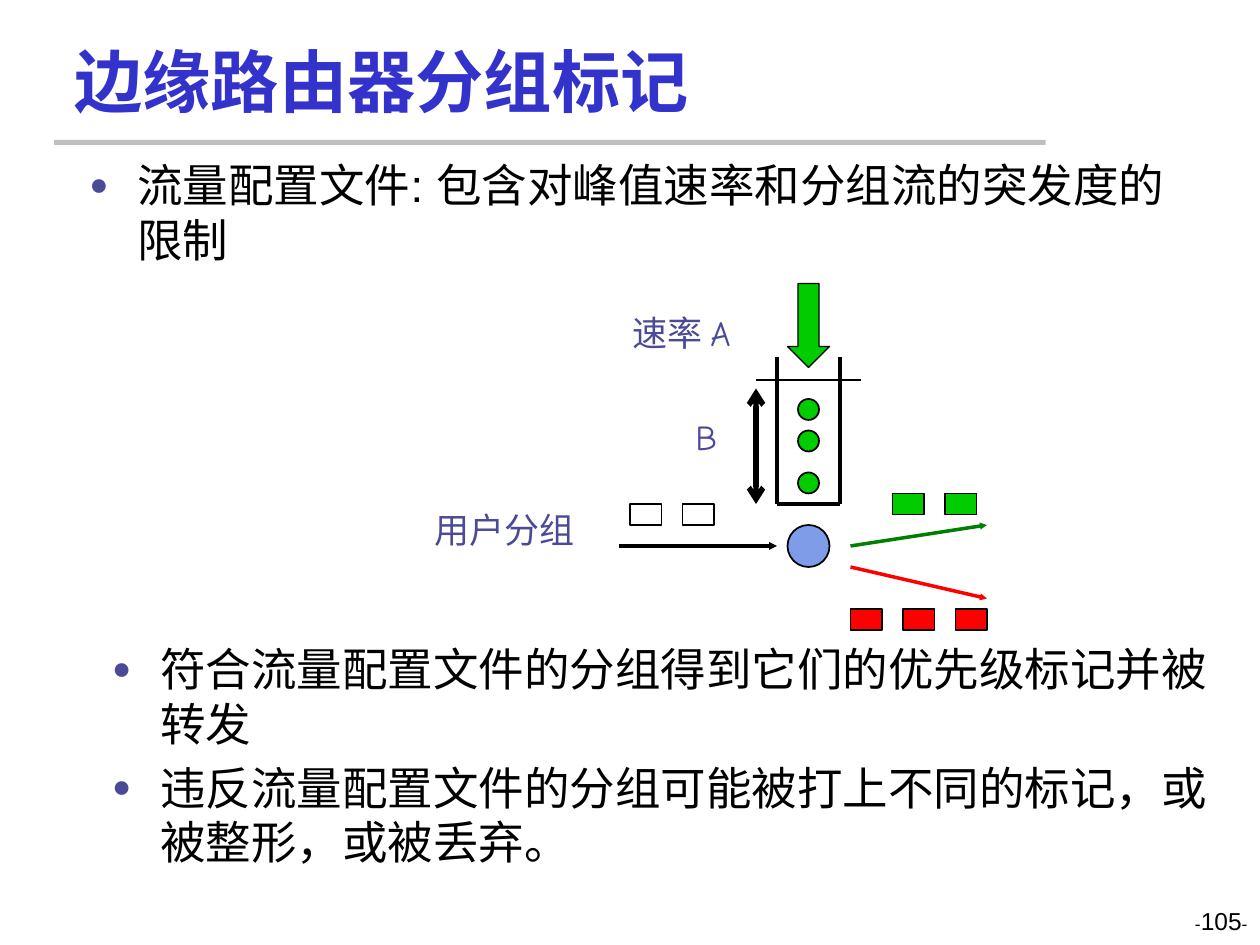
from pptx import Presentation
from pptx.dml.color import RGBColor
from pptx.enum.shapes import MSO_CONNECTOR, MSO_SHAPE
from pptx.enum.text import MSO_ANCHOR, MSO_AUTO_SIZE, PP_ALIGN
from pptx.oxml.ns import qn
from pptx.util import Inches, Pt
from lxml import etree

RECT, OVAL, DOWN = MSO_SHAPE.RECTANGLE, MSO_SHAPE.OVAL, MSO_SHAPE.DOWN_ARROW
LINE = MSO_CONNECTOR.STRAIGHT
MID, TOP = MSO_ANCHOR.MIDDLE, MSO_ANCHOR.TOP
FIXED = MSO_AUTO_SIZE.NONE
LEFT, RIGHT = PP_ALIGN.LEFT, PP_ALIGN.RIGHT
BLACK, WHITE, GREEN, RED = "000000", "FFFFFF", "00CC00", "FF0000"
SLATE = "4A4A97"
CELL = Inches(1) / 12  # the drawing sits on a grid of 12 cells to the inch

hue = RGBColor.from_string


def place(box, x, y, w, h):
    box.left, box.top, box.width, box.height = map(Inches, (x, y, w, h))
    box.text_frame.auto_size = FIXED
    return box.text_frame


def style(para, size, color, face="Arial", bold=False):
    font = para.font
    font.size, font.name, font.bold = Pt(size), face, bold
    font.color.rgb = hue(color)


deck = Presentation()
deck.slide_width, deck.slide_height = Inches(10), Inches(7.5)
slide = deck.slides.add_slide(deck.slide_layouts[3])
shapes = slide.shapes
title, intro, rules = slide.placeholders

# Title, rule and page number
frame = place(title, 0.49, 0.26, 8.5, 0.75)
frame.text = "边缘路由器分组标记"
frame.vertical_anchor = MID
frame.paragraphs[0].alignment = LEFT
style(frame.paragraphs[0], 39, "3333CC", bold=True)

bar = shapes.add_shape(RECT, Inches(0.43), Inches(1.11), Inches(7.87), Inches(0.04))
bar.shadow.inherit = False
bar.fill.solid()
bar.fill.fore_color.rgb = hue("BFBFBF")
bar.line.fill.background()

frame = place(shapes.add_textbox(0, 0, 0, 0), 7.67, 7.14, 2.33, 0.36)
frame.word_wrap = True
para = frame.paragraphs[0]
para.alignment = RIGHT
style(para, 10, BLACK)
for text, size in (("-", 10), ("105", 14), ("-", 10)):
    run = para.add_run()
    run.text, run.font.size = text, Pt(size)

# Bullet lists
lists = (
    (intro, (0.61, 1.2, 8.75, 1), ["流量配置文件: 包含对峰值速率和分组流的突发度的限制"]),
    (rules, (0.79, 5.04, 9, 2), [
        "符合流量配置文件的分组得到它们的优先级标记并被转发",
        "违反流量配置文件的分组可能被打上不同的标记，或被整形，或被丢弃。"]),
)
for box, spot, items in lists:
    frame = place(box, *spot)
    frame.vertical_anchor = TOP
    frame.text = "\n".join(items)
    for i, para in enumerate(frame.paragraphs):
        props = para._p.get_or_add_pPr()
        props.set("marL", str(Inches(0.38)))
        props.set("indent", str(-Inches(0.38)))
        tint = etree.SubElement(props, qn("a:buClr"))
        etree.SubElement(tint, qn("a:srgbClr"), val=SLATE)
        etree.SubElement(props, qn("a:buSzPct"), val="70000")
        etree.SubElement(props, qn("a:buChar"), char="●")
        para.space_before = Pt(5.2 if i else 0)
        style(para, 26, BLACK)

# Labels of the drawing
labels = (
    ("用户分组", 3.35, 3.99, 2.33),
    ("速率 A", 4.92, 2.42, 1.25),
    ("B", 5.42, 3.25, 0.38),
)
for text, x, y, w in labels:
    frame = place(shapes.add_textbox(0, 0, 0, 0), x, y, w, 0.45)
    frame.word_wrap = True
    frame.text = text
    style(frame.paragraphs[0], 20, SLATE, "Comic Neue")

# Packets, tokens, meter and inflow: kind, column, row, width, height in cells
parts = [(RECT, x, 47, 3, 2, GREEN, 1) for x in (85, 90)]
parts += [(RECT, x, 58, 3, 2, RED, 1) for x in (81, 86, 91)]
parts += [(RECT, x, 48, 3, 2, WHITE, 1) for x in (60, 65)]
parts += [(OVAL, 76, y, 2, 2, GREEN, 1) for y in (38, 41, 45)]
parts += [(OVAL, 75, 50, 4, 4, "7E9CE8", 1), (DOWN, 75, 27, 4, 8, GREEN, 0.75)]
for kind, x, y, w, h, color, width in parts:
    part = shapes.add_shape(kind, *(int(n * CELL) for n in (x, y, w, h)))
    part.shadow.inherit = False
    part.fill.solid()
    part.fill.fore_color.rgb = hue(color)
    part.line.color.rgb = hue(BLACK)
    part.line.width = Pt(width)

# Bucket walls, water mark, flows and depth: ends in cells, then the arrowheads
lines = (
    (74, 39, 74, 48, BLACK, 2.25, {}),
    (74, 48, 80, 48, BLACK, 2.25, {}),
    (80, 48, 80, 39, BLACK, 2.25, {}),
    (74, 39, 74, 34, BLACK, 2, {}),
    (80, 39, 80, 34, BLACK, 2, {}),
    (72, 36.2, 82, 36.2, BLACK, 0.75, {}),
    (59, 52, 74, 52, BLACK, 2.25, {"tailEnd": "triangle"}),
    (81, 54, 94, 57, RED, 2, {"tailEnd": "triangle"}),
    (81, 52, 94, 50, "008000", 2, {"tailEnd": "triangle"}),
    (72, 37, 72, 48, BLACK, 3, {"headEnd": "arrow", "tailEnd": "arrow"}),
)
for *ends, color, width, tips in lines:
    link = shapes.add_connector(LINE, *(int(n * CELL) for n in ends))
    link.line.color.rgb = hue(color)
    link.line.width = Pt(width)
    for end, kind in tips.items():
        size = "sm" if kind == "triangle" else "med"
        etree.SubElement(link.line._get_or_add_ln(), qn("a:" + end),
                         type=kind, w=size, len=size)
    etree.SubElement(link._element.spPr, qn("a:effectLst"))

deck.save("out.pptx")
